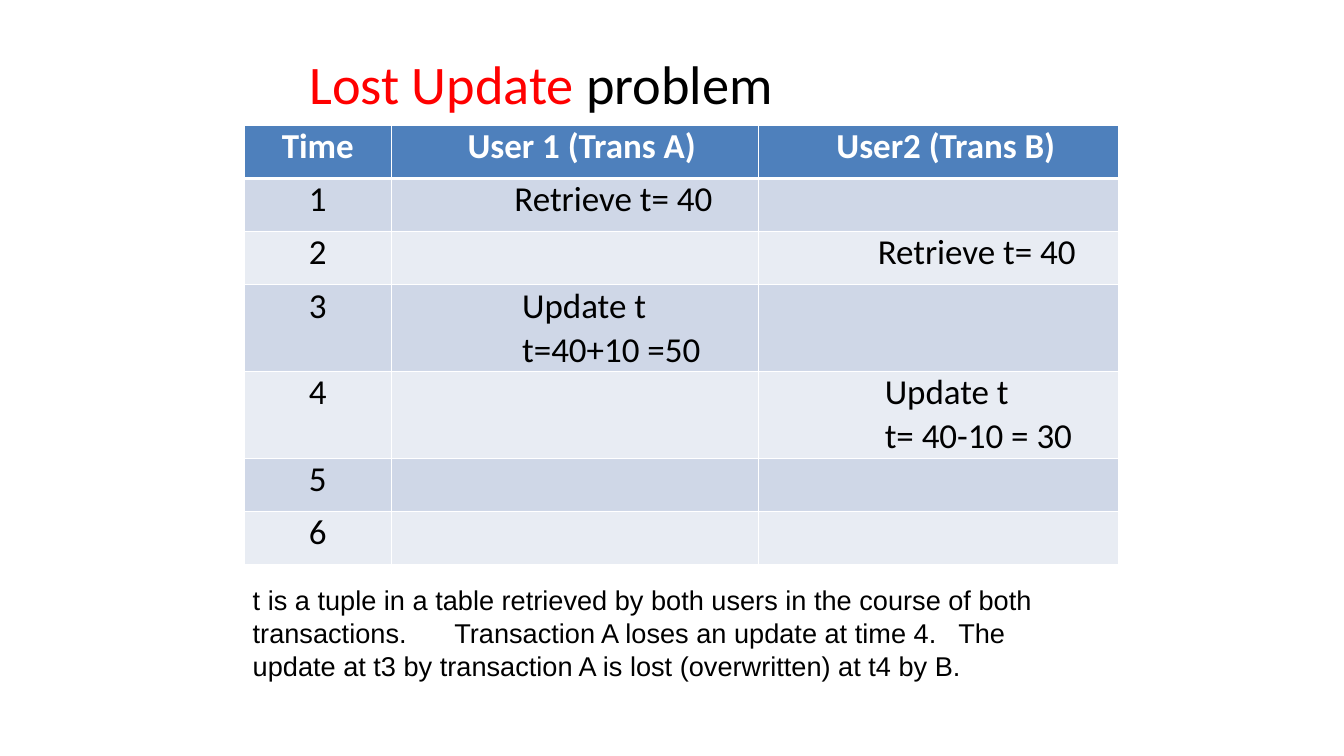
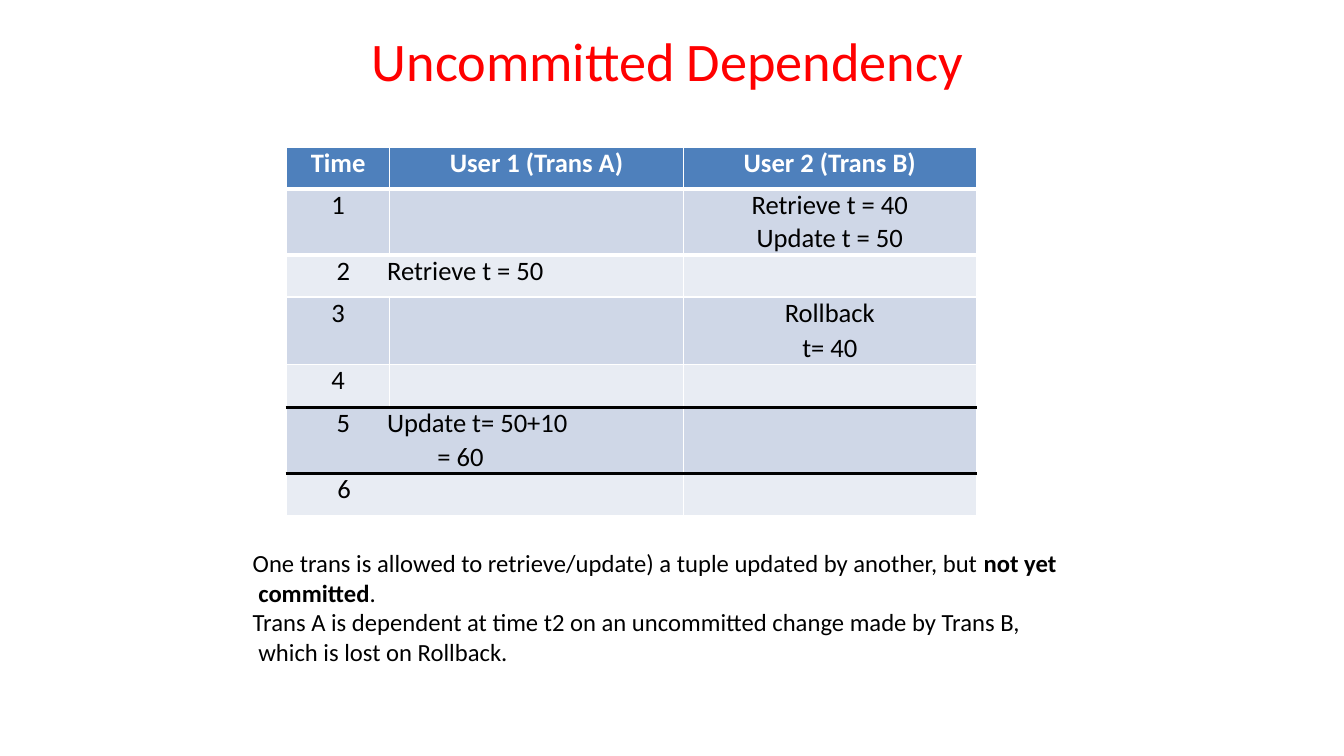
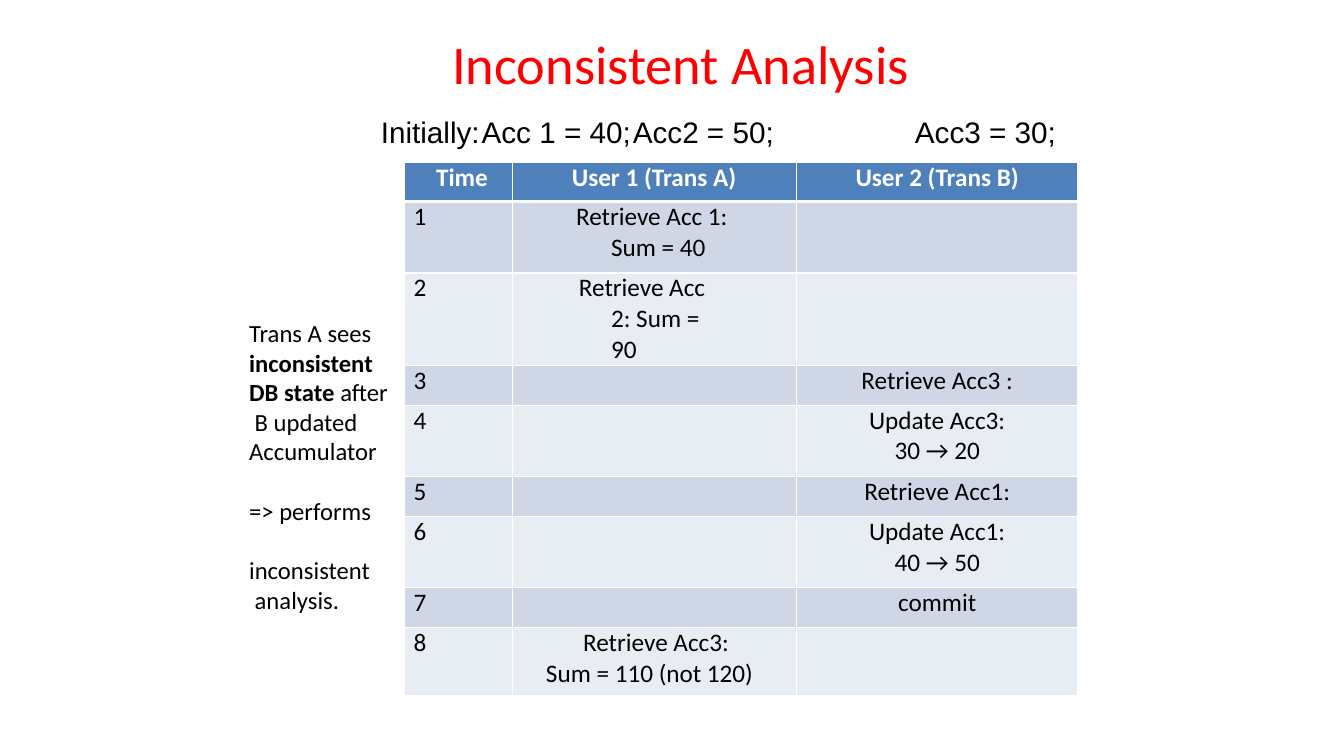
import pptx
import pptx.dml.color
import pptx.enum.text
import pptx.oxml.ns
import pptx.util
from lxml import etree

Pt = pptx.util.Pt
qn = pptx.oxml.ns.qn

# Shared look
RED, BLACK, WHITE = "FF0000", "000000", "FFFFFF"
HEADER_BLUE, BANDS = "4E80BC", ("E8ECF3", "CFD7E7")
THIN, THICK = 0.96, 2.88
CENTER = "center"


def color(hex_code):
    return pptx.dml.color.RGBColor.from_string(hex_code)


def write(holder, text, size, ink=BLACK, face="Calibri", bold=False,
          indent=0, first=0, tabs=(), before=0, accent=None):
    """Fill a cell or frame: \\n ends a paragraph, \\v a line, | toggles emphasis.

    Emphasis is the accent colour if one is given, otherwise bold.
    """
    holder.margin_left = holder.margin_right = 0
    holder.margin_top = holder.margin_bottom = 0
    holder.vertical_anchor = pptx.enum.text.MSO_ANCHOR.TOP
    frame = getattr(holder, "text_frame", holder)
    frame.word_wrap = True
    for number, content in enumerate(text.split("\n")):
        paragraph = frame.add_paragraph() if number else frame.paragraphs[0]
        properties = paragraph._p.get_or_add_pPr()
        if indent == CENTER:
            paragraph.alignment = pptx.enum.text.PP_ALIGN.CENTER
        else:
            paragraph.alignment = pptx.enum.text.PP_ALIGN.LEFT
            properties.set("marL", str(Pt(indent)))
            properties.set("indent", str(Pt(first)))
        paragraph.space_before = Pt(before if number else 0)
        if tabs:
            stops = etree.SubElement(properties, qn("a:tabLst"))
            for stop in tabs:
                etree.SubElement(stops, qn("a:tab"), pos=str(Pt(stop)), algn="l")
        paragraph.font.name = face
        paragraph.font.size = Pt(size)
        paragraph.font.bold = bold
        paragraph.font.color.rgb = color(ink)
        for piece_number, piece in enumerate(content.split("|")):
            for line_number, line in enumerate(piece.split("\v")):
                if line_number:
                    paragraph.add_line_break()
                if not line:
                    continue
                run = paragraph.add_run()
                run.text = line
                if piece_number % 2 and accent:
                    run.font.color.rgb = color(accent)
                elif piece_number % 2:
                    run.font.bold = True


# Content: cells are (row, column): (text, formatting); boxes are (place, text, formatting)
centered = {"indent": CENTER}
pair = {"indent": CENTER, "before": 1}
slides = [
    {
        "title": ("Lost Update |problem", (221, 36, 620, 47)),
        "table_at": (174.5, 89.5), "size": 25,
        "columns": (105, 262.5, 257), "rows": (38, 38, 38, 62, 62, 38, 38),
        "time": centered, "merged": (), "rules": {},
        "cells": {
            (0, 0): ("Time", centered),
            (0, 1): ("User 1 (Trans A)", {"indent": 54.5}),
            (0, 2): ("User2 (Trans B)", {"indent": 55.5}),
            (1, 1): ("Retrieve t= 40", {"indent": 88}),
            (2, 2): ("Retrieve t= 40", {"indent": 85}),
            (3, 1): ("Update t\nt=40+10 =50", {"indent": 93.5, "before": 1}),
            (4, 2): ("Update t\nt= 40-10 = 30", {"indent": 90, "before": 1}),
        },
        "boxes": [
            ((180.5, 417, 580, 71),
             "t is a tuple in a table retrieved by both users in the course of both "
             "transactions.\tTransaction A loses an update at time 4.\tThe update at "
             "t3 by transaction A is lost (overwritten) at t4 by B.",
             {"size": 19.4, "face": "Arial", "tabs": (144.5, 505)}),
        ],
    },
    {
        "title": ("Uncommitted Dependency", (265.5, 19.5, 440, 47)),
        "table_at": (204.5, 105), "size": 19,
        "columns": (74, 209.5, 209.5), "rows": (30, 46.5, 30, 48, 31, 46.5, 30),
        "time": centered, "merged": (2, 5, 6),
        "rules": {1: (WHITE, THICK), 4: (BLACK, THICK), 5: (BLACK, THICK)},
        "cells": {
            (0, 0): ("Time", centered),
            (0, 1): ("User 1 (Trans A)", centered),
            (0, 2): ("User 2 (Trans B)", centered),
            (1, 2): ("Retrieve t = 40\nUpdate t = 50", pair),
            (2, 0): ("\t2\tRetrieve t = 50", {"tabs": (36.5, 123)}),
            (3, 2): ("Rollback\nt= 40", {"indent": CENTER, "before": 2}),
            (5, 0): ("\t5\tUpdate t= 50+10\n\t\t\t= 60",
                     {"tabs": (36.5, 135.5, 203.5), "before": 1}),
            (6, 0): ("6", {"indent": 36.5}),
        },
        "boxes": [
            ((180.5, 391.5, 600, 86),
             "One trans is allowed to retrieve/update) a tuple updated by another, "
             "but |not yet\v committed|.\nTrans A is dependent at time t2 on an "
             "uncommitted change made by Trans B,\v which is lost on Rollback.",
             {"size": 17.6}),
        ],
    },
    {
        "title": ("Inconsistent Analysis", (323, 21.5, 350, 47)),
        "table_at": (289, 116), "size": 18,
        "columns": (77, 203, 201), "rows": (28, 51, 66, 28.5, 51, 28.5, 51, 28.5, 48.5),
        "time": {"indent": 6.5}, "merged": (), "rules": {},
        "cells": {
            (0, 0): ("Time", {"indent": 22.5}),
            (0, 1): ("User 1 (Trans A)", {"indent": 42.5}),
            (0, 2): ("User 2 (Trans B)", centered),
            (1, 1): ("Retrieve Acc 1:\vSum = 40", {"indent": 70.5, "first": -25}),
            (2, 1): ("Retrieve Acc\v2: Sum =\v90", {"indent": 70.5, "first": -23}),
            (3, 2): ("Retrieve Acc3 :", centered),
            (4, 2): ("Update Acc3:\n30 → 20", centered),
            (5, 2): ("Retrieve Acc1:", centered),
            (6, 2): ("Update Acc1:\n40 → 50", centered),
            (7, 2): ("commit", centered),
            (8, 1): ("Retrieve Acc3:\vSum = 110 (not 120)", {"indent": 24, "first": 26.5}),
        },
        "boxes": [
            ((272, 81.5, 356, 26), "Initially:\tAcc 1 = 40;\tAcc2 = 50;",
             {"size": 21.2, "face": "Arial", "tabs": (73, 217)}),
            ((653.5, 81.5, 110, 26), "Acc3 = 30;", {"size": 21.2, "face": "Arial"}),
            ((178, 227, 108, 193),
             "Trans A sees\v|inconsistent\vDB state |after\v B updated\vAccumulator\n"
             "=> performs\ninconsistent\v analysis.",
             {"size": 17.6, "before": 21.5}),
        ],
    },
]

deck = pptx.Presentation()
deck.slide_width, deck.slide_height = Pt(960), Pt(540)
title_only = deck.slide_layouts[5]

for content in slides:
    slide = deck.slides.add_slide(title_only)

    # Title
    title_text, place = content["title"]
    title = slide.shapes.title
    title.left, title.top, title.width, title.height = map(Pt, place)
    title.text_frame.auto_size = pptx.enum.text.MSO_AUTO_SIZE.NONE
    write(title.text_frame, title_text, 38.8, RED, accent=BLACK)

    # Schedule table
    columns, rows = content["columns"], content["rows"]
    left, top = content["table_at"]
    schedule = slide.shapes.add_table(
        len(rows), len(columns), Pt(left), Pt(top), Pt(sum(columns)), Pt(sum(rows))).table
    for column, width in zip(schedule.columns, columns):
        column.width = Pt(width)
    for row, height in zip(schedule.rows, rows):
        row.height = Pt(height)
    for r in content["merged"]:
        schedule.cell(r, 0).merge(schedule.cell(r, 1))

    rules = {0: (WHITE, THICK), **content["rules"]}
    for r in range(len(rows)):
        for c in range(len(columns)):
            cell = schedule.cell(r, c)
            default = (str(r), content["time"]) if c == 0 else ("", {})
            text, formatting = content["cells"].get((r, c), default)
            write(cell, text, content["size"], BLACK if r else WHITE,
                  bold=r == 0, **formatting)
            cell.fill.solid()
            cell.fill.fore_color.rgb = color(BANDS[r % 2] if r else HEADER_BLUE)

            # Cell borders
            plain = (WHITE, THIN)
            edges = {"lnL": plain, "lnR": plain,
                     "lnT": rules.get(r - 1, plain), "lnB": rules.get(r, plain)}
            cell_properties = cell._tc.get_or_add_tcPr()
            for position, (edge, (ink, width)) in enumerate(edges.items()):
                line = etree.Element(qn("a:" + edge), w=str(Pt(width)))
                solid = etree.SubElement(line, qn("a:solidFill"))
                etree.SubElement(solid, qn("a:srgbClr"), val=ink)
                cell_properties.insert(position, line)

    # Explanations
    for place, text, formatting in content["boxes"]:
        explanation = slide.shapes.add_textbox(*map(Pt, place))
        write(explanation.text_frame, text, **formatting)

deck.save("out.pptx")
